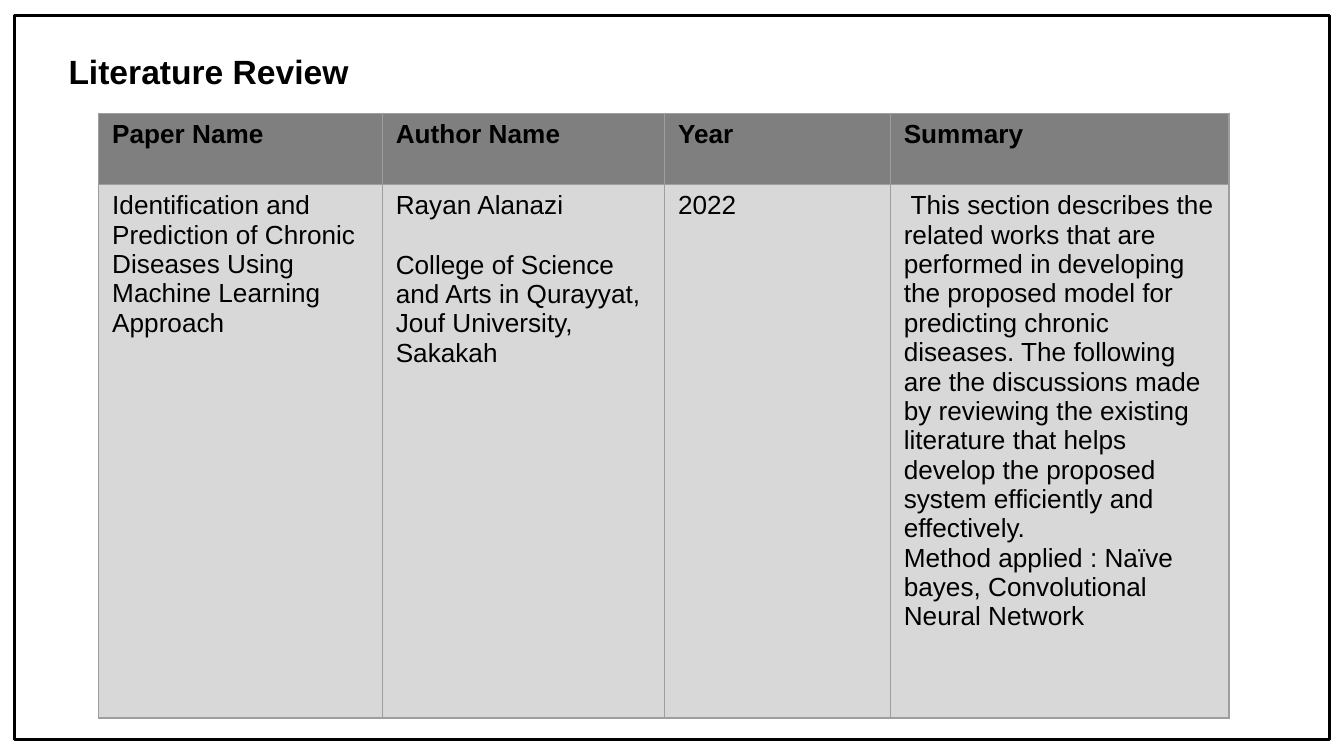
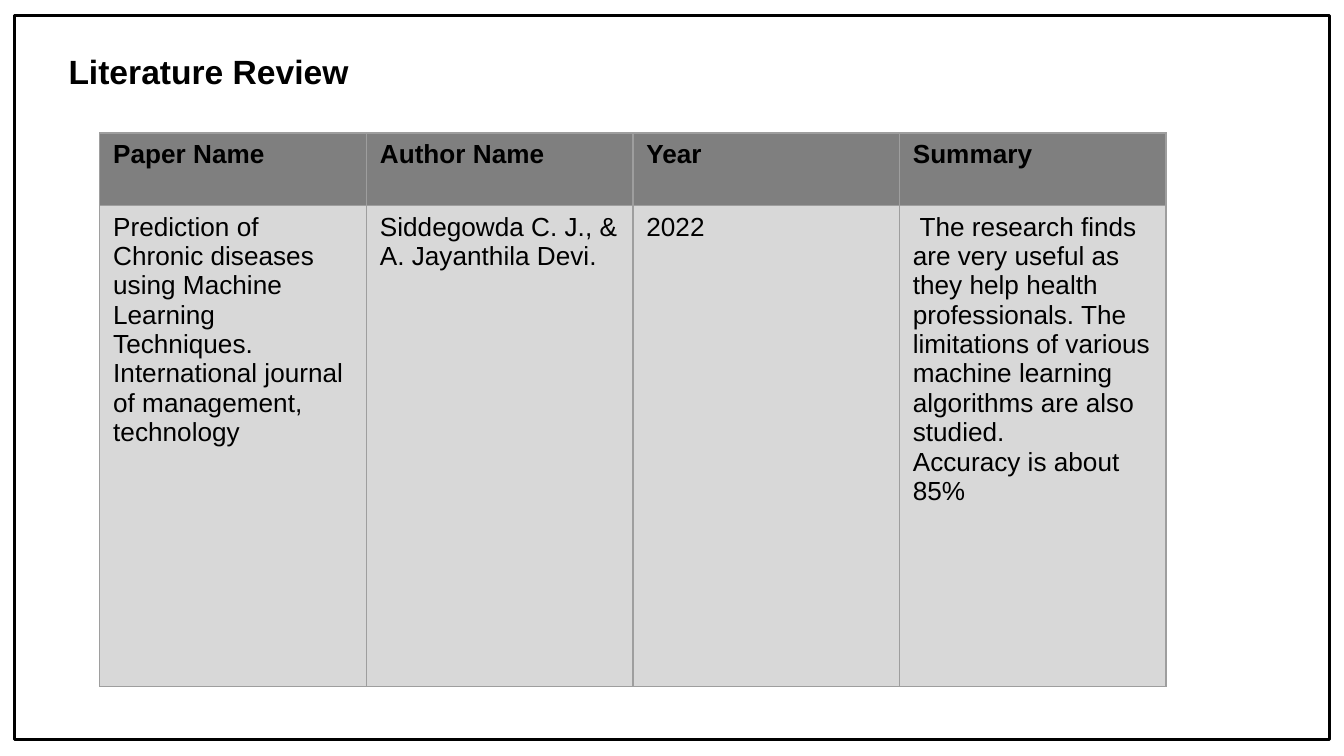
import lxml.etree
import pptx
import pptx.dml.color
import pptx.enum.shapes
import pptx.enum.text
import pptx.oxml.ns
import pptx.util

INK, RULE, HEAD, BODY = "000000", "9E9E9E", "7F7F7F", "D8D8D8"
FONT = "Arial"
HEADERS = ["Paper Name", "Author Name", "Year", "Summary"]

REVIEWS = [
    {
        "left": 7.35,
        "top": 8.42,
        "cols": [21.1, 21, 16.8, 25.2],
        "rows": [5.3, 39.7],
        "cells": [
            "Identification and Prediction of Chronic Diseases Using Machine Learning Approach",
            "Rayan Alanazi\n"
            "College of Science and Arts in Qurayyat, Jouf University, Sakakah",
            "2022",
            " This section describes the related works that are performed in developing "
            "the proposed model for predicting chronic diseases. The following are the "
            "discussions made by reviewing the existing literature that helps develop "
            "the proposed system efficiently and effectively.\n"
            "Method applied : Naïve bayes, Convolutional Neural Network",
        ],
    },
    {
        "left": 7.42,
        "top": 9.9,
        "cols": [19.85, 19.83, 19.83, 19.83],
        "rows": [5.4, 35.8],
        "cells": [
            "Prediction of Chronic diseases using Machine Learning Techniques. "
            "International journal of management, technology",
            "Siddegowda C. J., & A. Jayanthila Devi.",
            "2022",
            " The research finds are very useful as they help health professionals. "
            "The limitations of various machine learning algorithms are also studied.\n"
            "Accuracy is about 85%",
        ],
    },
]


def rgb(color):
    return pptx.dml.color.RGBColor.from_string(color)


def style(p, size, bold):
    for r in p.runs:
        r.font.name = FONT
        r.font.size = pptx.util.Pt(size)
        r.font.bold = bold
        r.font.color.rgb = rgb(INK)


prs = pptx.Presentation()
prs.slide_width = pptx.util.Inches(10)
prs.slide_height = prs.slide_width * 9 // 16
unit = prs.slide_width // 100
slides = [prs.slides.add_slide(prs.slide_layouts[5]) for review in REVIEWS]

frame = slides[0].shapes.add_shape(
    pptx.enum.shapes.MSO_SHAPE.RECTANGLE,
    *[int(v * unit) for v in (1.1, 1.15, 97.8, 53.9)])
frame.shadow.inherit = False
frame.fill.background()
frame.line.color.rgb = rgb(INK)
frame.line.width = pptx.util.Pt(1.5)
frame.element.nvSpPr.cNvPr.set("id", "20")
prs.slide_master.shapes.element.insert(2, frame.element)

for s, review in zip(slides, REVIEWS):
    title = s.shapes.title
    title.left, title.top, title.width, title.height = [
        int(v * unit) for v in (4.1, 2.8, 41.6, 4.8)]
    tf = title.text_frame
    tf.text = "Literature Review"
    tf.margin_left = tf.margin_right = tf.margin_top = tf.margin_bottom = unit
    tf.vertical_anchor = pptx.enum.text.MSO_ANCHOR.TOP
    tf.auto_size = pptx.enum.text.MSO_AUTO_SIZE.NONE
    tf.paragraphs[0].alignment = pptx.enum.text.PP_ALIGN.LEFT
    style(tf.paragraphs[0], 18, True)

    table = s.shapes.add_table(
        2, len(HEADERS), int(review["left"] * unit), int(review["top"] * unit),
        int(sum(review["cols"]) * unit), int(sum(review["rows"]) * unit)).table
    for col, width in zip(table.columns, review["cols"]):
        col.width = int(width * unit)

    for i, texts in enumerate([HEADERS, review["cells"]]):
        table.rows[i].height = int(review["rows"][i] * unit)
        for j, text in enumerate(texts):
            cell = table.cell(i, j)
            tcPr = cell._tc.get_or_add_tcPr()
            for side in ("a:lnL", "a:lnR", "a:lnT", "a:lnB"):
                ln = lxml.etree.SubElement(
                    tcPr, pptx.oxml.ns.qn(side), w=str(pptx.util.Pt(0.75)))
                fill = lxml.etree.SubElement(ln, pptx.oxml.ns.qn("a:solidFill"))
                lxml.etree.SubElement(fill, pptx.oxml.ns.qn("a:srgbClr"), val=RULE)
            cell.fill.solid()
            cell.fill.fore_color.rgb = rgb([HEAD, BODY][i])
            cell.text_frame.text = text
            for p in cell.text_frame.paragraphs:
                style(p, 14, i == 0)

    for p in table.cell(1, 1).text_frame.paragraphs[1:]:
        p.space_before = pptx.util.Pt(16)

prs.save("out.pptx")
